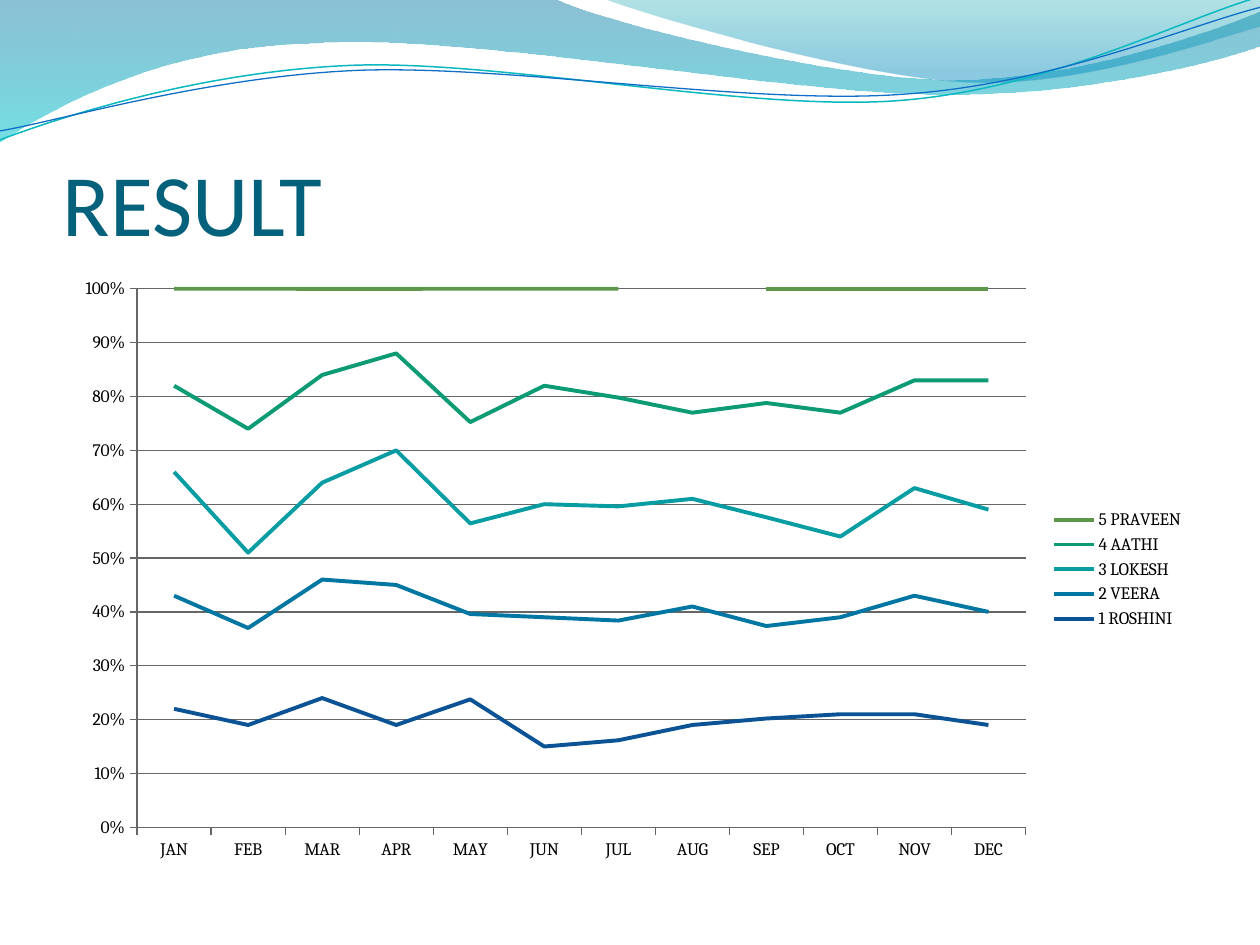
from lxml import etree
from pptx import Presentation
from pptx import util as u
from pptx.chart.data import CategoryChartData
from pptx.dml.color import RGBColor
from pptx.enum import chart as ch, text
from pptx.oxml.ns import qn

THEME = {
    "title": "04617B", "text": "000000", "axis": "666666",
    "head_font": "Calibri", "body_font": "Cambria",
    "title_size": 50, "chart_size": 10, "series_width": 2.25, "axis_width": 0.75,
}
SLIDE = (25.4, 19.05)
TITLE = ("RESULT", (1.27, 1.96, 22.86, 3.17))
CHART_BOX = (1.27, 5.38, 22.86, 12.19)

MONTHS = "JAN FEB MAR APR MAY JUN JUL AUG SEP OCT NOV DEC".split()
SERIES = [
    ("1 ROSHINI", "0B5395", (22, 19, 24, 19, 24, 15, 16, 19, 20, 21, 21, 19)),
    ("2 VEERA", "0076A3", (21, 18, 22, 26, 16, 24, 22, 22, 17, 18, 22, 21)),
    ("3 LOKESH", "089CA3", (23, 14, 18, 25, 17, 21, 21, 20, 20, 15, 20, 19)),
    ("4 AATHI", "0C9B74", (16, 23, 20, 18, 19, 22, 20, 16, 21, 23, 20, 24)),
    ("5 PRAVEEN", "5D984A", (18, 26, 16, 12, 25, 18, 20, 23, 21, 23, 17, 17)),
]

# Each path is a start point, then steps: one point is a line, three are a Bezier curve.
# Gradient stops are (position, colour, opacity in percent).
WAVES = [
    {"path": [(0, 0), [(11.18, -0.03)],
              [(12.09, 0.43), (16.87, 1.6), (19.25, 1.6)],
              [(21.67, 1.6), (24.33, 0.66), (25.4, 0.23)],
              [(25.43, 0.91)],
              [(24.97, 1.12), (22.1, 1.93), (18.95, 1.9)],
              [(15.8, 1.9), (9.7, 0.71), (6.53, 0.86)],
              [(3.28, 0.91), (1.17, 2.11), (-0.03, 2.87)],
              [(0, 0)]],
     "stops": [(0, "0074A1", 45), (1, "00C6CF", 55)]},
    {"path": [(12.17, -0.03),
              [(12.93, 0.28), (17.32, 1.57), (19.53, 1.65)],
              [(21.74, 1.75), (24.41, 0.81), (25.4, 0.53)],
              [(25.4, 0)],
              [(12.17, -0.03)]],
     "stops": [(0, "00A1A9", 30), (0.8, "008BBF", 45)]},
    {"path": [(0, 2.82),
              [(1.22, 2.36), (4.01, 1.45), (7.04, 1.32)],
              [(10.03, 1.19), (15.06, 2.26), (18.11, 2.03)],
              [(21.16, 1.8), (23.83, 0.38), (25.35, -0.05)]],
     "line": ("0AB8BF", 0.85)},
    {"path": [(0, 2.64),
              [(1.19, 2.44), (4.17, 1.55), (7.19, 1.42)],
              [(10.24, 1.3), (15.16, 2.13), (18.21, 1.9)],
              [(21.23, 1.7), (23.9, 0.53), (25.4, 0.15)]],
     "line": ("0F6FC6", 0.75)},
]


def rgb(value):
    return RGBColor.from_string(value)


def box(values):
    return [u.Cm(v) for v in values]


def add_curve(s, path, closed):
    """Draw the path's points as segments, then merge each step of three into a Bezier."""
    start, *steps = path
    builder = s.shapes.build_freeform(*box(start))
    builder.add_line_segments([box(point) for step in steps for point in step], close=closed)
    sp = builder.convert_to_shape()
    segments = iter(list(sp._element.spPr.iter(qn("a:lnTo"))))
    for step in steps:
        first, *others = [next(segments) for _ in step]
        if others:
            first.tag = qn("a:cubicBezTo")
        for other in others:
            first.append(other[0])
            other.getparent().remove(other)
    return sp


def add_wave(s, path, stops=None, line=None):
    sp = add_curve(s, path, closed=bool(stops))
    sp.shadow.inherit = False
    if line:
        sp.fill.background()
        set_line(sp.line, *line)
        return
    sp.line.fill.background()
    sp.fill.gradient()
    sp.fill.gradient_angle = 270
    for stop, (position, color, _) in zip(sp.fill.gradient_stops, stops):
        stop.position = position
        stop.color.rgb = rgb(color)
    for clr, (_, _, opacity) in zip(sp._element.spPr.iter(qn("a:srgbClr")), stops):
        etree.SubElement(clr, qn("a:alpha")).set("val", str(opacity * 1000))


def set_line(line, color, width):
    line.color.rgb = rgb(color)
    line.width = u.Pt(width)


def set_font(font, name, size, color):
    font.name, font.size = name, u.Pt(size)
    font.color.rgb = rgb(color)


def add_text(s, content, area, *, font, size, color, anchor):
    tf = s.shapes.add_textbox(*box(area)).text_frame
    tf.word_wrap = True
    tf.vertical_anchor = anchor
    tf.margin_left = tf.margin_right = tf.margin_bottom = 0
    r = tf.paragraphs[0].add_run()
    r.text = content
    set_font(r.font, font, size, color)


def add_result_chart(s):
    data = CategoryChartData()
    data.categories = MONTHS
    for name, _, values in SERIES:
        data.add_series(name, values)
    chart = s.shapes.add_chart(ch.XL_CHART_TYPE.LINE_STACKED_100, *box(CHART_BOX), data).chart
    chart.has_title = False
    set_font(chart.font, THEME["body_font"], THEME["chart_size"], THEME["text"])
    chart.has_legend = True
    chart.legend.position = ch.XL_LEGEND_POSITION.RIGHT
    chart.legend.include_in_layout = False

    chart.plots[0].vary_by_categories = False
    for series, (_, color, _) in zip(chart.plots[0].series, SERIES):
        series.smooth = False
        set_line(series.format.line, color, THEME["series_width"])

    value_axis = chart.value_axis
    value_axis.has_major_gridlines = True
    value_axis.tick_labels.number_format = "0%"
    value_axis.tick_labels.number_format_is_linked = False
    for part in (chart.category_axis, value_axis, value_axis.major_gridlines):
        set_line(part.format.line, THEME["axis"], THEME["axis_width"])
    for axis in (chart.category_axis, value_axis):
        axis.major_tick_mark = ch.XL_TICK_MARK.OUTSIDE
        axis.minor_tick_mark = ch.XL_TICK_MARK.NONE


def main():
    prs = Presentation()
    prs.slide_width, prs.slide_height = box(SLIDE)
    s = prs.slides.add_slide(prs.slide_layouts[6])
    for wave in WAVES:
        add_wave(s, **wave)
    add_text(s, *TITLE, font=THEME["head_font"], size=THEME["title_size"],
             color=THEME["title"], anchor=text.MSO_ANCHOR.BOTTOM)
    add_result_chart(s)
    prs.save("out.pptx")


if __name__ == "__main__":
    main()
